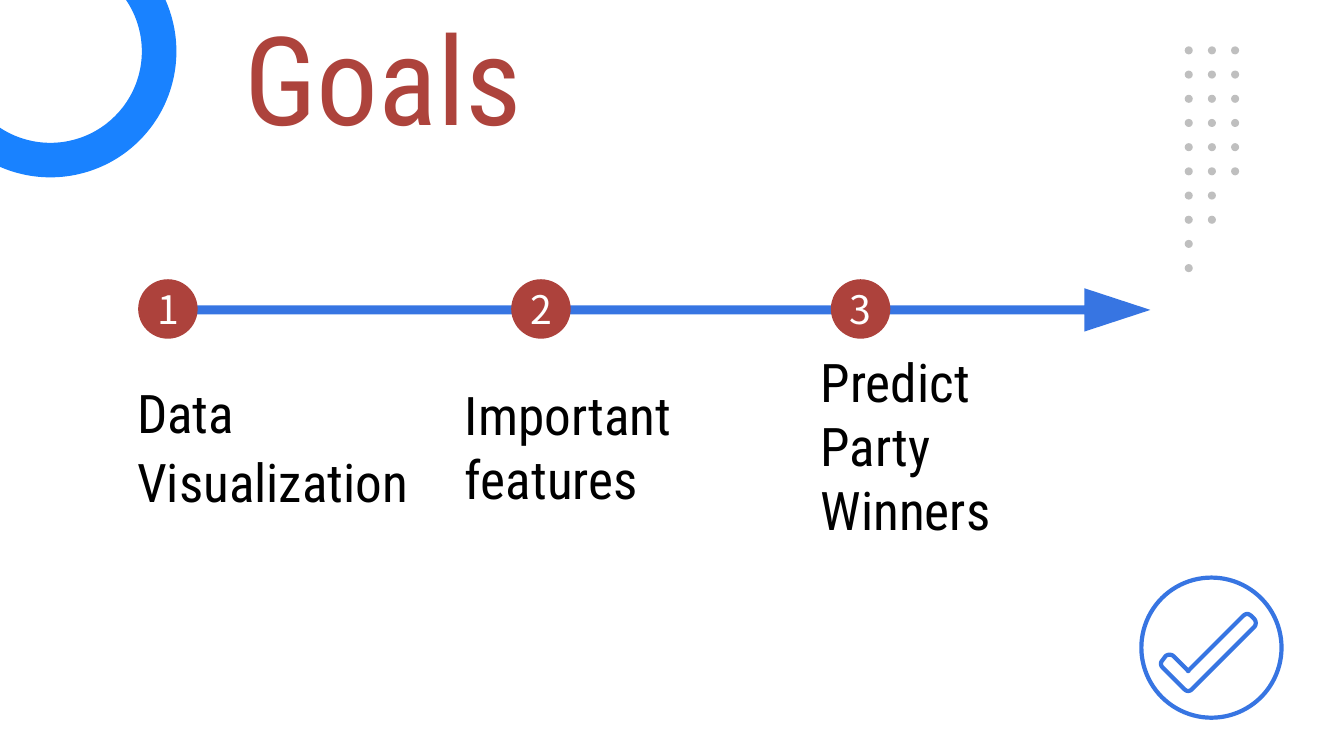
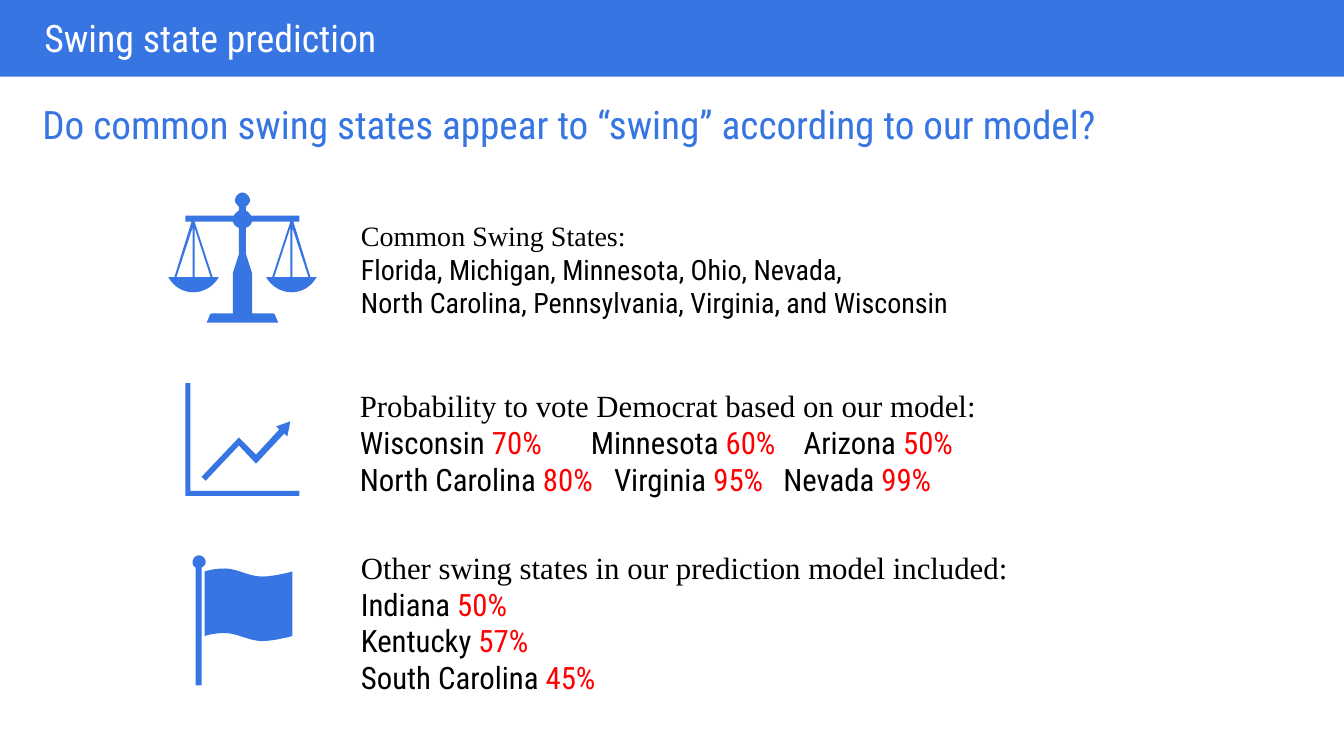
import pptx
import pptx.util
import pptx.dml.color
import pptx.enum.shapes
import pptx.enum.text
import pptx.oxml.ns
import lxml.etree

Inches = pptx.util.Inches
SHAPE = pptx.enum.shapes.MSO_SHAPE
ANCHOR = pptx.enum.text.MSO_ANCHOR
ALIGN = pptx.enum.text.PP_ALIGN

BLUE, RING_BLUE = "3775E2", "1982FF"
BRICK, TITLE_RED, RED = "AD423C", "AD433C", "FF0000"
BLACK, WHITE, GREY = "000000", "FFFFFF", "BFBFBF"
SANS, SERIF, DIGITS = "Roboto Condensed", "Times New Roman", "Noto Sans CJK SC"


def color(value):
    return pptx.dml.color.RGBColor.from_string(value)


def flatten(steps, pieces=8):
    """Turn points and six-number cubic curves into a list of points."""
    points = []
    for step in steps:
        if len(step) == 2:
            points.append(step)
            continue
        x0, y0 = points[-1]
        x1, y1, x2, y2, x3, y3 = step
        for piece in range(1, pieces + 1):
            t = piece / pieces
            s = 1 - t
            a, b, c, d = s ** 3, 3 * s * s * t, 3 * s * t * t, t ** 3
            points.append((a * x0 + b * x1 + c * x2 + d * x3,
                           a * y0 + b * y1 + c * y2 + d * y3))
    return points


def mirror(points, axis):
    return [(2 * axis - x, y) for x, y in reversed(points)]


class Painter:
    """Holds the deck, the current page and the shared style."""

    def __init__(self):
        self.deck = pptx.Presentation()
        self.deck.slide_width, self.deck.slide_height = Inches(13.33), Inches(7.5)
        self.page = None

    def new_page(self):
        self.page = self.deck.slides.add_slide(self.deck.slide_layouts[6])

    def finish(self, shape, fill, line=None):
        shape.shadow.inherit = False
        shape.fill.solid()
        shape.fill.fore_color.rgb = color(fill)
        if line:
            shape.line.color.rgb = color(line)
            shape.line.width = pptx.util.Pt(3)
        else:
            shape.line.fill.background()
        return shape

    def shape(self, kind, at, fill, line=None, adjust=()):
        shape = self.page.shapes.add_shape(kind, *map(Inches, at))
        for index, value in enumerate(adjust):
            shape.adjustments[index] = value
        return self.finish(shape, fill, line)

    def outline(self, contours, fill, line=None):
        """One freeform; inner contours become holes."""
        builder = None
        for contour in contours:
            points = [(Inches(x), Inches(y)) for x, y in contour]
            if builder is None:
                builder = self.page.shapes.build_freeform(*points[0])
            else:
                builder.move_to(*points[0])
            builder.add_line_segments(points[1:], close=True)
        return self.finish(builder.convert_to_shape(), fill, line)

    def style(self, span, size, ink, font):
        span.font.size = pptx.util.Pt(size)
        span.font.color.rgb = color(ink)
        span.font.name = font

    def text(self, at, lines, size, ink=BLACK, heading=False, gap=0, tabs=()):
        """Each line is a string or a list of (text, colour) spans."""
        box = self.page.shapes.add_textbox(*map(Inches, at))
        frame = box.text_frame
        frame.word_wrap = True
        frame.margin_left = frame.margin_right = Inches(0.05)
        frame.margin_top = frame.margin_bottom = Inches(0.05)
        stops = dict(tabs)
        for index, line in enumerate(lines):
            para = frame.add_paragraph() if index else frame.paragraphs[0]
            if index and gap:
                para.space_before = pptx.util.Pt(gap)
            if index in stops:
                self.tab_stops(para, stops[index])
            spans = [(line, ink)] if isinstance(line, str) else line
            font = SERIF if heading and index == 0 else SANS
            for words, span_ink in spans:
                span = para.add_run()
                span.text = words
                self.style(span, size, span_ink, font)

    def tab_stops(self, para, positions):
        qn = pptx.oxml.ns.qn
        tab_list = lxml.etree.SubElement(para._p.get_or_add_pPr(), qn("a:tabLst"))
        for position in positions:
            lxml.etree.SubElement(tab_list, qn("a:tab"),
                                  pos=str(Inches(position)), algn="l")

    def milestone(self, left, number):
        disc = self.shape(SHAPE.OVAL, (left, 2.77, 0.59, 0.59), BRICK)
        frame = disc.text_frame
        frame.margin_left = frame.margin_right = 0
        frame.margin_top = frame.margin_bottom = 0
        frame.vertical_anchor = ANCHOR.MIDDLE
        frame.word_wrap = False
        frame.text = str(number)
        para = frame.paragraphs[0]
        para.alignment = ALIGN.CENTER
        self.style(para.runs[0], 28, WHITE, DIGITS)

    def dot_columns(self, counts):
        for column, count in enumerate(counts):
            for row in range(count):
                at = (11.75 + 0.23 * column, 0.46 + 0.24 * row, 0.08, 0.08)
                self.shape(SHAPE.OVAL, at, GREY)

    def check_badge(self):
        self.shape(SHAPE.OVAL, (11.32, 5.73, 1.39, 1.39), WHITE, BLUE)
        tick = [(12.37, 6.09), (12.38, 6.09, 12.4, 6.1, 12.41, 6.11), (12.44, 6.14),
                (12.46, 6.16, 12.46, 6.2, 12.44, 6.22), (11.82, 6.84),
                (11.8, 6.86, 11.77, 6.86, 11.75, 6.84), (11.53, 6.62),
                (11.51, 6.6, 11.51, 6.57, 11.53, 6.55), (11.56, 6.51),
                (11.58, 6.49, 11.62, 6.49, 11.64, 6.51), (11.78, 6.65),
                (11.78, 6.66, 11.79, 6.66, 11.79, 6.65), (12.33, 6.11),
                (12.34, 6.1, 12.36, 6.09, 12.37, 6.09)]
        self.outline([flatten(tick)], WHITE, BLUE)

    def scales_icon(self):
        axis = 2.405
        half_stand = flatten([
            (axis, 1.91), (2.44, 1.91, 2.48, 1.95, 2.48, 1.99),
            (2.48, 2.01, 2.46, 2.03, 2.44, 2.05), (2.44, 2.09),
            (2.46, 2.1, 2.48, 2.12, 2.49, 2.14), (2.97, 2.14), (2.97, 2.2),
            (2.5, 2.2), (2.49, 2.23, 2.47, 2.25, 2.44, 2.26), (2.44, 2.52),
            (2.5, 2.71), (2.5, 3.11), (2.7, 3.11),
            (2.71, 3.11, 2.73, 3.11, 2.73, 3.13), (2.76, 3.2)])
        pan = flatten([(1.9, 2.2), (1.73, 2.75), (1.67, 2.75),
                       (1.72, 2.84, 1.81, 2.9, 1.92, 2.9),
                       (2.02, 2.9, 2.12, 2.84, 2.17, 2.75), (2.11, 2.75), (1.93, 2.2)])
        gaps = [[(1.91, 2.26), (1.91, 2.75), (1.75, 2.75)],
                [(1.93, 2.26), (2.09, 2.75), (1.93, 2.75)]]
        left_side = [pan] + gaps
        right_side = [mirror(contour, axis) for contour in left_side]
        stand = half_stand + mirror(half_stand, axis)
        self.outline([stand] + left_side + right_side, BLUE)

    def trend_icon(self):
        axes = [(1.84, 3.8), (1.84, 4.92), (2.97, 4.92), (2.97, 4.87),
                (1.89, 4.87), (1.89, 3.8)]
        arrow = [(2.88, 4.18), (2.74, 4.23), (2.77, 4.26), (2.54, 4.51), (2.37, 4.34),
                 (2, 4.73), (2.04, 4.77), (2.37, 4.42), (2.54, 4.6), (2.82, 4.3),
                 (2.85, 4.33)]
        self.outline([axes, arrow], BLUE)

    def flag_icon(self):
        pole = [(1.97, 5.51), (1.94, 5.51, 1.91, 5.54, 1.91, 5.58),
                (1.91, 5.6, 1.92, 5.62, 1.94, 5.63), (1.94, 6.8), (2, 6.8), (2, 5.63),
                (2.02, 5.62, 2.04, 5.6, 2.04, 5.58),
                (2.04, 5.54, 2.01, 5.51, 1.97, 5.51)]
        top = flatten([(2.03, 5.67), (2.03, 5.67, 2.11, 5.64, 2.23, 5.64),
                       (2.35, 5.64, 2.47, 5.72, 2.6, 5.72),
                       (2.72, 5.72, 2.9, 5.67, 2.9, 5.67)])
        bottom = [(x, y + 0.64) for x, y in reversed(top)]
        self.outline([flatten(pole), top + bottom], BLUE)


def chances(*pairs):
    """Spans for states in black and percentages in red, split by tabs."""
    spans = []
    for index, (state, percent) in enumerate(pairs):
        lead = "\t" if index else ""
        spans += [(f"{lead}{state} ", BLACK), (f"{percent}%", RED)]
    return spans


def goals_page(painter):
    painter.new_page()
    # Corner ring, title and dots
    painter.shape(SHAPE.DONUT, (-0.75, -0.74, 2.5, 2.5), RING_BLUE, adjust=(0.137,))
    painter.text((2.37, -0.03, 6.72, 1.6), ["Goals"], 88, TITLE_RED)
    painter.dot_columns((10, 8, 6))
    # Timeline
    painter.shape(SHAPE.RIGHT_ARROW, (1.47, 2.86, 9.94, 0.43), BLUE,
                  adjust=(0.207, 1.524))
    for number, left in enumerate((1.37, 5.07, 8.24), start=1):
        painter.milestone(left, number)
    painter.text((1.31, 3.72, 3.14, 1.38), ["Data", "Visualization"], 38, gap=4)
    painter.text((4.56, 3.74, 2.35, 1.38), ["Important features"], 38)
    painter.text((8.09, 3.42, 2.35, 2.02), ["Predict", "Party", "Winners"], 38)
    painter.check_badge()


def swing_page(painter):
    painter.new_page()
    # Band and question
    painter.shape(SHAPE.RECTANGLE, (-0.08, -0.11, 13.49, 0.87), BLUE)
    painter.text((0.39, 0.1, 6, 0.56), ["Swing state prediction"], 27, WHITE)
    painter.text((0.37, 0.95, 12, 0.57),
                 ["Do common swing states appear to “swing” according to our model?"],
                 28, BLUE)
    # Common swing states
    painter.scales_icon()
    painter.text((3.53, 2.12, 8, 1.43),
                 ["Common Swing States:",
                  "Florida, Michigan, Minnesota, Ohio, Nevada,",
                  "North Carolina, Pennsylvania, Virginia, and Wisconsin"],
                 20, heading=True)
    # Model probabilities
    painter.trend_icon()
    painter.text((3.52, 3.79, 8, 1.21),
                 ["Probability to vote Democrat based on our model:",
                  chances(("Wisconsin", 70), ("Minnesota", 60), ("Arizona", 50)),
                  chances(("North Carolina", 80), ("Virginia", 95), ("Nevada", 99))],
                 22, heading=True, tabs=((1, (2.29, 4.4)), (2, (2.52, 4.2))))
    # Other swing states
    painter.flag_icon()
    painter.text((3.53, 5.39, 8, 1.58),
                 ["Other swing states in our prediction model included:",
                  chances(("Indiana", 50)), chances(("Kentucky", 57)),
                  chances(("South Carolina", 45))],
                 22, heading=True)


def main():
    painter = Painter()
    goals_page(painter)
    swing_page(painter)
    painter.deck.save("out.pptx")


if __name__ == "__main__":
    main()
